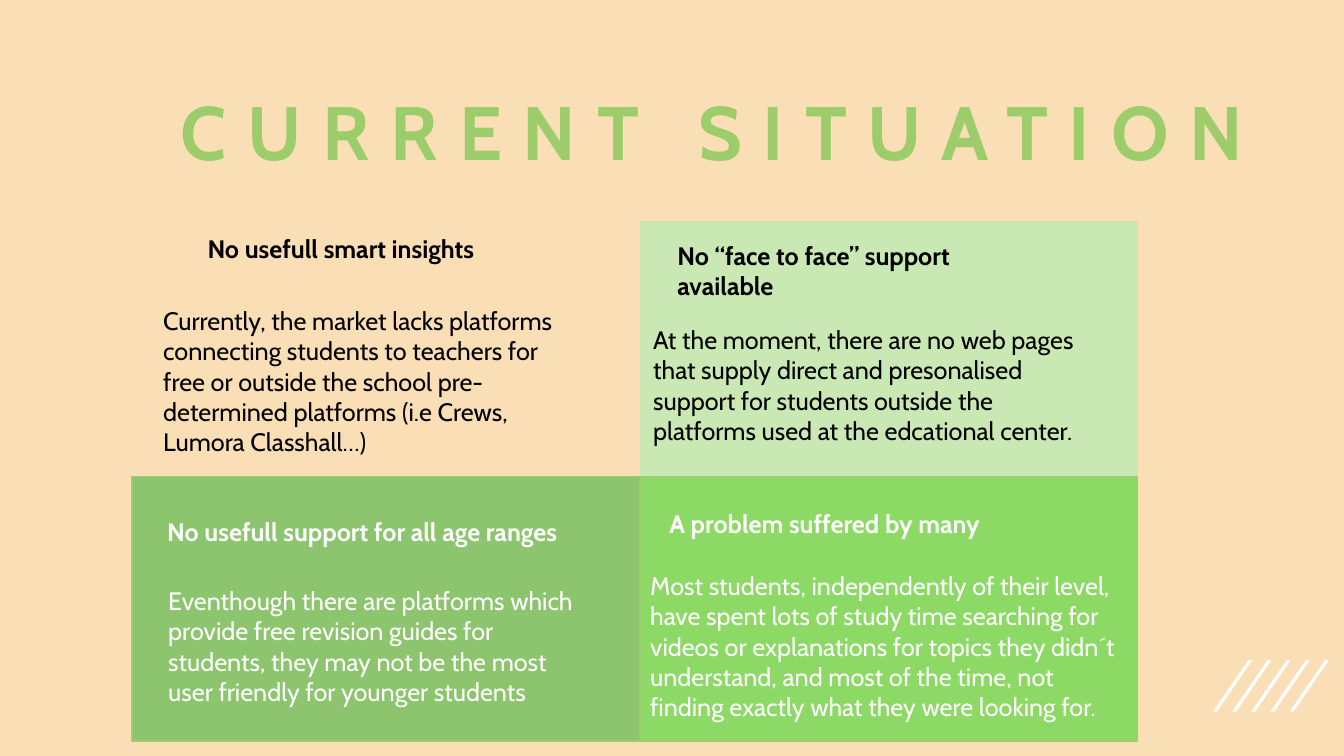
from dataclasses import dataclass

from pptx import Presentation
from pptx import util as u
from pptx.dml import color
from pptx.enum import shapes, text

COLORS = {
    "sand": "FADEB6", "leaf": "9DCC6A", "mint": "CAE8B3",
    "sage": "8CC56E", "lime": "8DD965", "black": "000000", "white": "FFFFFF",
}
FONT = "Cabin"


@dataclass
class Box:
    x: float
    y: float
    w: float
    h: float

    def lengths(self) -> list:
        return [u.Inches(v) for v in (self.x, self.y, self.w, self.h)]


@dataclass
class Quadrant:
    panel: Box
    fill: str
    line: str
    ink: str
    head_box: Box
    head: str
    body_box: Box
    body: str


QUADRANTS = [
    Quadrant(Box(1.24, 1.98, 5.07, 2.69), "sand", "sand", "black",
             Box(1.96, 2.27, 3.59, 0.4), "No usefull smart insights",
             Box(1.52, 2.98, 4.28, 1.62),
             "Currently, the market lacks platforms connecting students to "
             "teachers for free or outside the school pre-determined "
             "platforms (i.e Crews, Lumora Classhall…)"),
    Quadrant(Box(6.35, 2.2, 4.93, 2.7), "mint", "mint", "black",
             Box(6.62, 2.33, 3.87, 0.71), "No “face to face” support available",
             Box(6.38, 3.17, 4.56, 1.31),
             "At the moment, there are no web pages that supply direct and "
             "presonalised support for students outside the platforms used "
             "at the edcational center."),
    Quadrant(Box(1.31, 4.73, 5.04, 2.62), "sage", "leaf", "white",
             Box(1.56, 5.07, 4.19, 0.4), "No usefull support for all age ranges",
             Box(1.57, 5.76, 4.28, 1.31),
             "Eventhough there are platforms which provide free revision "
             "guides for students, they may not be the most user friendly "
             "for younger students"),
    Quadrant(Box(6.35, 4.73, 4.93, 2.62), "lime", "leaf", "white",
             Box(6.54, 4.99, 3.87, 0.4), "A problem suffered by many",
             Box(6.35, 5.61, 4.93, 1.62),
             "Most students, independently of their level, have spent lots "
             "of study time searching for videos or explanations for topics "
             "they didn´t understand, and most of the time, not finding "
             "exactly what they were looking for."),
]


def rgb(name: str) -> color.RGBColor:
    return color.RGBColor.from_string(COLORS[name])


def paint(sp, fill: str, line: str | None = None) -> None:
    sp.shadow.inherit = False
    sp.fill.solid()
    sp.fill.fore_color.rgb = rgb(fill)
    if line:
        sp.line.color.rgb = rgb(line)
        sp.line.width = u.Pt(1)
    else:
        sp.line.fill.background()


def write(tf, content: str, ink: str, size: float, bold: bool):
    tf.word_wrap = True
    tf.auto_size = text.MSO_AUTO_SIZE.NONE
    r = tf.paragraphs[0].add_run()
    r.text = content
    formats = {"name": FONT, "size": u.Pt(size), "bold": bold}
    for key, value in formats.items():
        setattr(r.font, key, value)
    r.font.color.rgb = rgb(ink)
    return r


def add_title(s, content: str, box: Box) -> None:
    sp = s.shapes.title
    for key, value in zip(("left", "top", "width", "height"), box.lengths()):
        setattr(sp, key, value)
    tf = sp.text_frame
    r = write(tf, content, "leaf", 54, True)
    r.font._element.set("spc", "1500")  # letter spacing, 15 pt
    tf.vertical_anchor = text.MSO_ANCHOR.BOTTOM
    p = tf.paragraphs[0]
    for key, value in {"alignment": text.PP_ALIGN.CENTER, "line_spacing": 0.9}.items():
        setattr(p, key, value)


def add_slashes(s, x: float, y: float, count: int, step: float) -> None:
    for i in range(count):
        left = x + i * step
        points = [(left + 0.04, y + 0.51), (left, y + 0.51),
                  (left + 0.35, y), (left + 0.39, y)]
        points = [(u.Inches(px), u.Inches(py)) for px, py in points]
        fb = s.shapes.build_freeform(*points[0])
        fb.add_line_segments(points[1:], close=True)
        paint(fb.convert_to_shape(), "white")


def add_panel(s, q: Quadrant) -> None:
    sp = s.shapes.add_shape(shapes.MSO_SHAPE.RECTANGLE, *q.panel.lengths())
    paint(sp, q.fill, q.line)


def add_texts(s, q: Quadrant) -> None:
    for box, content, bold in ((q.head_box, q.head, True), (q.body_box, q.body, False)):
        sp = s.shapes.add_textbox(*box.lengths())
        write(sp.text_frame, content, q.ink, 18, bold)


def main() -> None:
    prs = Presentation()
    prs.slide_width, prs.slide_height = u.Inches(13.33), u.Inches(7.5)
    s = prs.slides.add_slide(prs.slide_layouts[5])

    # Background, corner slashes and title
    s.background.fill.solid()
    s.background.fill.fore_color.rgb = rgb("sand")
    add_slashes(s, 12.03, 6.55, count=5, step=0.19)
    add_title(s, "CURRENT SITUATION", Box(1.12, 0.36, 11.89, 1.44))

    # Four quadrants: panels first, texts on top
    for q in QUADRANTS:
        add_panel(s, q)
    for q in QUADRANTS:
        add_texts(s, q)

    prs.save("out.pptx")


if __name__ == "__main__":
    main()
